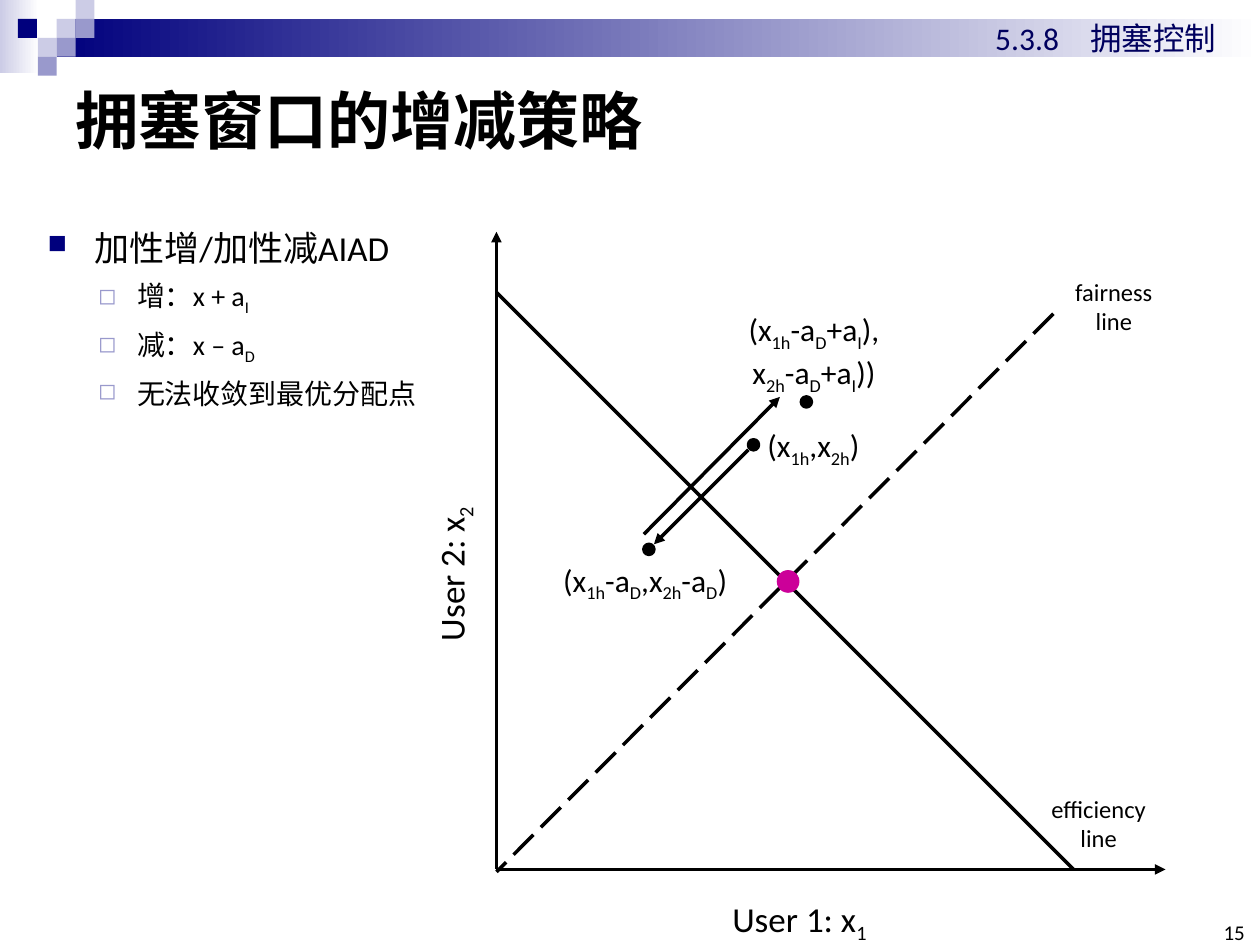
import pptx
import pptx.util
import pptx.dml.color
import pptx.enum.dml
import pptx.enum.shapes
import pptx.enum.text
import pptx.oxml.ns
from lxml import etree

Inches, Pt = pptx.util.Inches, pptx.util.Pt
RGB = pptx.dml.color.RGBColor.from_string
SHAPES = pptx.enum.shapes.MSO_SHAPE
ALIGN = pptx.enum.text.PP_ALIGN
ANCHOR = pptx.enum.text.MSO_ANCHOR
qn = pptx.oxml.ns.qn

COLORS = {"navy": "00007D", "heading": "00005E", "lilac": "9999CC",
          "pale": "CCCCE6", "white": "FFFFFF", "black": "000000",
          "optimum": "CC0099"}

deck = pptx.Presentation()
deck.slide_width, deck.slide_height = Inches(10), Inches(7.5)
slide = deck.slides.add_slide(deck.slide_layouts[6])


def add_block(preset, box, color, fade=False):
    """Add a filled shape without outline, optionally fading to white."""
    block = slide.shapes.add_shape(preset, *map(Inches, box))
    block.shadow.inherit = False
    block.line.fill.background()
    if fade:
        block.fill.gradient()
        block.fill.gradient_angle = 0
        for stop, name, position in zip(block.fill.gradient_stops,
                                        (color, "white"), (0, 1)):
            stop.color.rgb = RGB(COLORS[name])
            stop.position = position
    else:
        block.fill.solid()
        block.fill.fore_color.rgb = RGB(COLORS[color])
    return block


def add_text(box, lines, size, color="black", bold=None, align=ALIGN.LEFT,
             wrap=True, anchor=ANCHOR.TOP, margin=None):
    """Add a text box; every second piece between bars is a subscript."""
    area = slide.shapes.add_textbox(*map(Inches, box))
    frame = area.text_frame
    frame.word_wrap, frame.vertical_anchor = wrap, anchor
    if margin is not None:
        for side in ("left", "right", "top", "bottom"):
            setattr(frame, "margin_" + side, Inches(margin))
    for number, line in enumerate(lines):
        paragraph = frame.paragraphs[0] if number == 0 else frame.add_paragraph()
        paragraph.alignment = align
        for index, piece in enumerate(line.split("|")):
            if not piece:
                continue
            run = paragraph.add_run()
            run.text = piece
            formats = {"size": Pt(size), "name": "Calibri", "bold": bold}
            for attribute, value in formats.items():
                setattr(run.font, attribute, value)
            run.font.color.rgb = RGB(COLORS[color])
            if index % 2:
                run.font._element.set("baseline", "-25000")
    return area


# Header band and mosaic
add_block(SHAPES.RECTANGLE, (0, 0, 0.31, 0.58), "pale", fade=True)
add_block(SHAPES.RECTANGLE, (0.45, 0.15, 9.55, 0.3), "navy", fade=True)
TILE = 0.15
for column, row, color in [(3, 1, "pale"), (4, 0, "pale"), (4, 1, "lilac"),
                           (2, 2, "pale"), (0.95, 1, "navy"),
                           (3, 2, "lilac"), (2, 3, "lilac")]:
    add_block(SHAPES.RECTANGLE, (column * TILE, row * TILE, TILE, TILE), color)

add_text((0.5, 0.5, 9, 0.89), ["拥塞窗口的增减策略"], 36, bold=True,
         anchor=ANCHOR.MIDDLE)
add_text((7.8, 0.1, 2.08, 0.4), ["5.3.8\u3000拥塞控制"], 18, "heading")
add_text((9.65, 7.33, 0.23, 0.17), ["15"], 12, align=ALIGN.RIGHT,
         wrap=False, anchor=ANCHOR.BOTTOM, margin=0)

# Strategy list
strategy = add_text((0.28, 1.58, 3.24, 3.15),
                    ["加性增/加性减AIAD", "增：x + a|I|", "减：x – a|D|",
                     "无法收敛到最优分配点"], 16)
for number, paragraph in enumerate(strategy.text_frame.paragraphs):
    if number == 0:
        paragraph.line_spacing, paragraph.space_before = 1.5, Pt(4)
        paragraph.runs[0].font.size = Pt(20)
        left, hang, mark, color, percent = 0.37, 0.37, "■", "navy", 75
    else:
        paragraph.space_before = Pt(6)
        left, hang, mark, color, percent = 0.71, 0.31, "◻", "lilac", 80
    properties = paragraph._p.get_or_add_pPr()
    properties.set("marL", str(Inches(left)))
    properties.set("indent", str(-Inches(hang)))
    bullet_color = etree.SubElement(properties, qn("a:buClr"))
    etree.SubElement(bullet_color, qn("a:srgbClr"), val=COLORS[color])
    etree.SubElement(properties, qn("a:buSzPct"), val=str(percent * 1000))
    etree.SubElement(properties, qn("a:buChar"), char=mark)

# Axes, fairness and efficiency lines, and the moves between allocations
ORIGIN_X, ORIGIN_Y = 3.94, 6.9
for start, end, dashed, arrow in [
        ((ORIGIN_X, ORIGIN_Y), (ORIGIN_X, 1.84), False, True),
        ((ORIGIN_X, ORIGIN_Y), (9.25, ORIGIN_Y), False, True),
        ((8.36, 2.49), (ORIGIN_X, 6.92), True, False),
        ((ORIGIN_X, 2.32), (8.52, ORIGIN_Y), False, False),
        ((5.94, 3.57), (5.19, 4.32), False, True),
        ((5.11, 4.24), (6.19, 3.15), False, True)]:
    segment = slide.shapes.add_connector(
        pptx.enum.shapes.MSO_CONNECTOR.STRAIGHT, *map(Inches, start + end))
    segment.line.color.rgb = RGB(COLORS["black"])
    segment.line.width = Pt(2)
    if dashed:
        segment.line.dash_style = pptx.enum.dml.MSO_LINE.LONG_DASH
    if arrow:
        etree.SubElement(segment.line._get_or_add_ln(), qn("a:tailEnd"),
                         type="triangle")
    etree.SubElement(segment._element.spPr, qn("a:effectLst"))

# Allocation points
for x, y, diameter, color, outline in [
        (5.94, 3.49, 0.08, "black", 2), (5.11, 4.32, 0.08, "black", 2),
        (6.36, 3.15, 0.08, "black", 2), (6.17, 4.53, 0.17, "optimum", 0.75)]:
    point = add_block(SHAPES.OVAL, (x, y, diameter, diameter), color)
    point.line.color.rgb = RGB(COLORS[color])
    point.line.width = Pt(outline)

# Diagram labels
for box, lines, size, rotation in [
        ((5.69, 7.07, 1.31, 0.43), ["User 1: x|1|"], 20, 0),
        ((2.92, 4.34, 1.31, 0.43), ["User 2: x|2|"], 20, 270),
        ((8.43, 2.15, 0.82, 0.57), ["fairness", "line"], 14, 0),
        ((8.24, 6.25, 0.96, 0.57), ["efficiency", "line"], 14, 0),
        ((5.95, 3.33, 1.01, 0.4), ["(x|1h|,x|2h|)"], 18, 0),
        ((4.3, 4.4, 1.64, 0.4), ["(x|1h|-a|D|,x|2h|-a|D|)"], 18, 0),
        ((5.79, 2.41, 1.34, 0.7),
         ["(x|1h|-a|D|+a|I|),", "x|2h|-a|D|+a|I|))"], 18, 0)]:
    label = add_text(box, lines, size, align=ALIGN.CENTER, wrap=False)
    label.rotation = rotation

deck.save("out.pptx")
